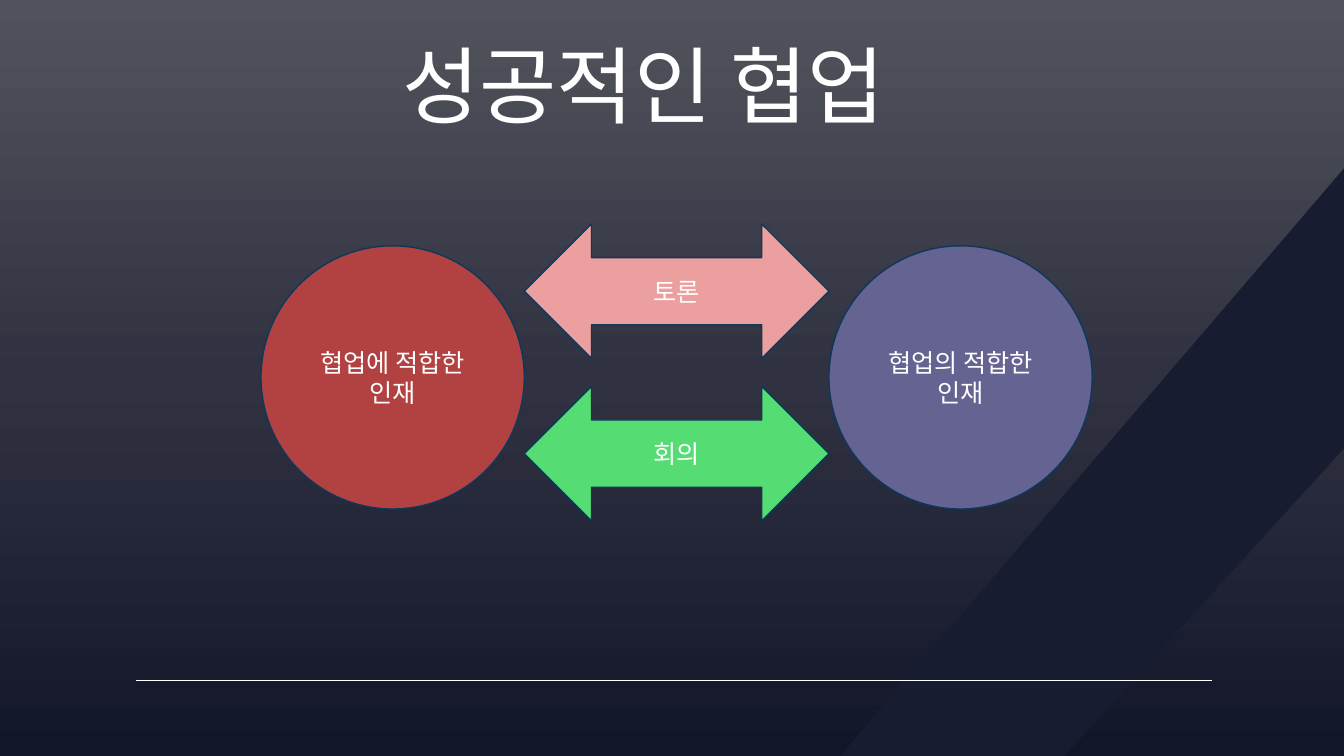
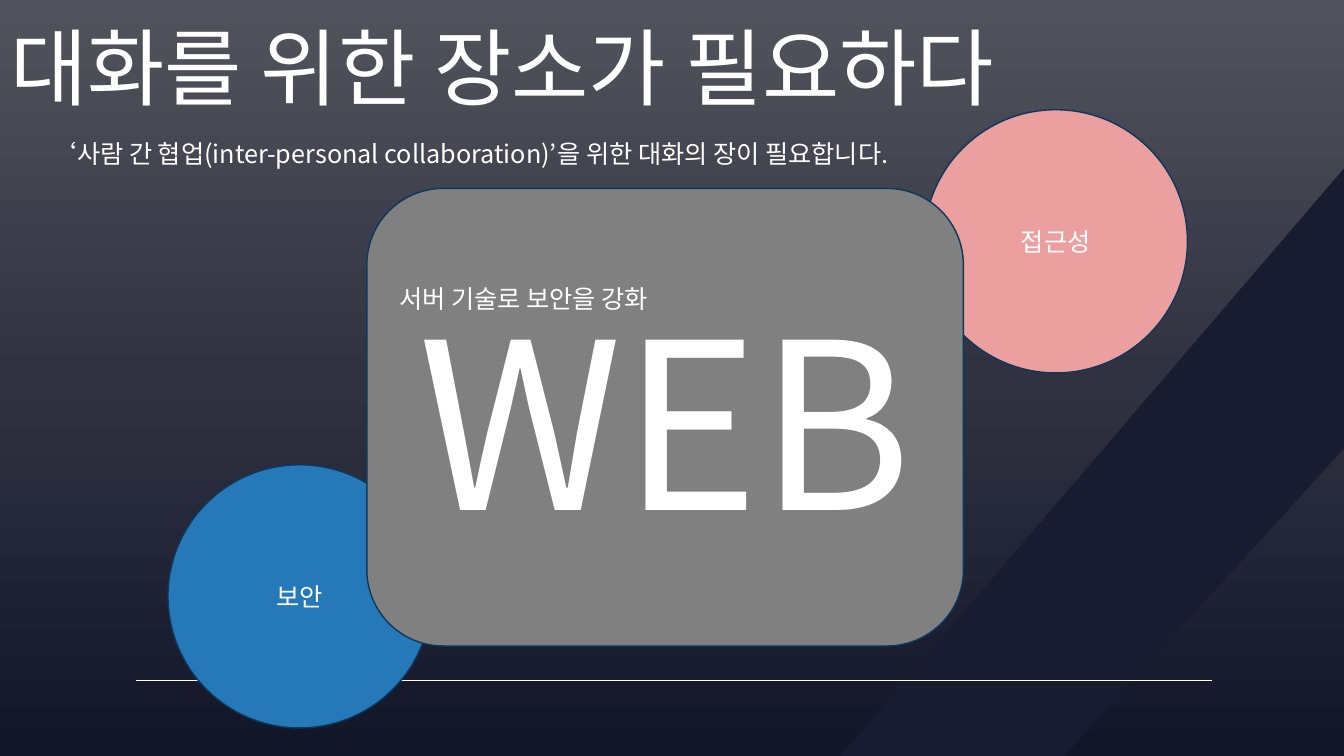
"""Build two slides about successful collaboration."""
from copy import deepcopy

from lxml.etree import SubElement
from pptx import Presentation
from pptx.dml.color import RGBColor
from pptx.enum.shapes import MSO_CONNECTOR, MSO_SHAPE
from pptx.enum.text import MSO_ANCHOR, MSO_AUTO_SIZE, PP_ALIGN
from pptx.oxml.ns import qn
from pptx.util import Inches, Pt

FONT = "Noto Sans CJK KR"
WHITE, EDGE, BAND = "FFFFFF", "0E375C", "181C30"
RED, PURPLE, PINK = "B24242", "656391", "EC9F9F"
GREEN, BLUE, GRAY = "55DC73", "2579B9", "808080"
BACKGROUND = [(0, "51535C"), (0.5, "303241"), (1, "121629")]

prs = Presentation()
prs.slide_width, prs.slide_height = Inches(13.33), Inches(7.5)
CELL = prs.slide_height / 27


def color(value):
    return RGBColor.from_string(value)


def write(sp, text, size, align, anchor):
    tf = sp.text_frame
    tf.text = text
    tf.word_wrap = True
    tf.auto_size = MSO_AUTO_SIZE.NONE
    tf.vertical_anchor = anchor
    p = tf.paragraphs[0]
    p.alignment = align
    r = p.runs[0]
    r.font.name = FONT
    r.font.size = Pt(size)
    r.font.color.rgb = color(WHITE)
    SubElement(r.font._element, qn("a:ea")).set("typeface", FONT)


fill = prs.slide_master.background.fill
fill.gradient()
fill.gradient_angle = 270
stops = prs.slide_master.element.find(".//" + qn("a:gsLst"))
stops.append(deepcopy(stops[0]))
for stop, (position, value) in zip(fill.gradient_stops, BACKGROUND):
    stop.position = position
    stop.color.rgb = color(value)

OVAL, ARROW = MSO_SHAPE.OVAL, MSO_SHAPE.LEFT_RIGHT_ARROW
DISC = 9.4
LEFT_DISC, RIGHT_DISC, DISC_TOP = 9.32, 29.6, 8.78
ARROW_LEFT = LEFT_DISC + DISC
ARROW_WIDTH = RIGHT_DISC - ARROW_LEFT

slides = [
    ("성공적인 협업", (14, 1, 20, 4), [
        (OVAL, (LEFT_DISC, DISC_TOP, DISC, DISC), RED, "협업에 적합한 인재", 18),
        (OVAL, (RIGHT_DISC, DISC_TOP, DISC, DISC), PURPLE, "협업의 적합한 인재", 18),
        (ARROW, (ARROW_LEFT, 8, ARROW_WIDTH, 4.8), PINK, "토론", 18),
        (ARROW, (ARROW_LEFT, 13.8, ARROW_WIDTH, 4.8), GREEN, "회의", 18),
    ]),
    ("대화를 위한 장소가 필요하다", (0, 0.36, 44.25, 4), [
        (None, (1.5, 4.75, 31.4, 1.45), None,
         "‘사람 간 협업(inter-personal collaboration)’을 위한 대화의 장이 필요합니다.", 18),
        (OVAL, (33, 3.92, DISC, DISC), PINK, "접근성", 18),
        (OVAL, (6, 16.6, DISC, DISC), BLUE, "보안", 18),
        (MSO_SHAPE.ROUNDED_RECTANGLE, (13.1, 6.73, 21.3, 16.34), GRAY, "WEB", 166),
        (None, (13.9, 9.94, 15.5, 1.45), None, "서버 기술로 보안을 강화", 18),
    ]),
]

for title, title_box, items in slides:
    s = prs.slides.add_slide(prs.slide_layouts[5])
    sp = s.shapes.title
    sp.left, sp.top, sp.width, sp.height = [round(v * CELL) for v in title_box]
    write(sp, title, 60, PP_ALIGN.LEFT, MSO_ANCHOR.TOP)

    outline = s.shapes.build_freeform(47.95, 6, scale=CELL)
    outline.add_line_segments([(47.95, 16), (38.4, 27), (29.6, 27)], close=True)
    band = outline.convert_to_shape()
    band.shadow.inherit = False
    band.fill.solid()
    band.fill.fore_color.rgb = color(BAND)
    band.line.fill.background()

    ends = [round(v * CELL) for v in (4.86, 24.3, 43.27, 24.3)]
    rule = s.shapes.add_connector(MSO_CONNECTOR.STRAIGHT, *ends)
    rule.line.color.rgb = color(WHITE)
    rule.line.width = Pt(1)
    SubElement(rule._element.spPr, qn("a:effectLst"))

    for kind, cells, paint, text, size in items:
        box = [round(v * CELL) for v in cells]
        if kind is None:
            sp = s.shapes.add_textbox(*box)
            write(sp, text, size, PP_ALIGN.LEFT, MSO_ANCHOR.TOP)
            continue
        sp = s.shapes.add_shape(kind, *box)
        sp.shadow.inherit = False
        sp.fill.solid()
        sp.fill.fore_color.rgb = color(paint)
        sp.line.color.rgb = color(EDGE)
        sp.line.width = Pt(1)
        write(sp, text, size, PP_ALIGN.CENTER, MSO_ANCHOR.MIDDLE)

prs.save("out.pptx")
